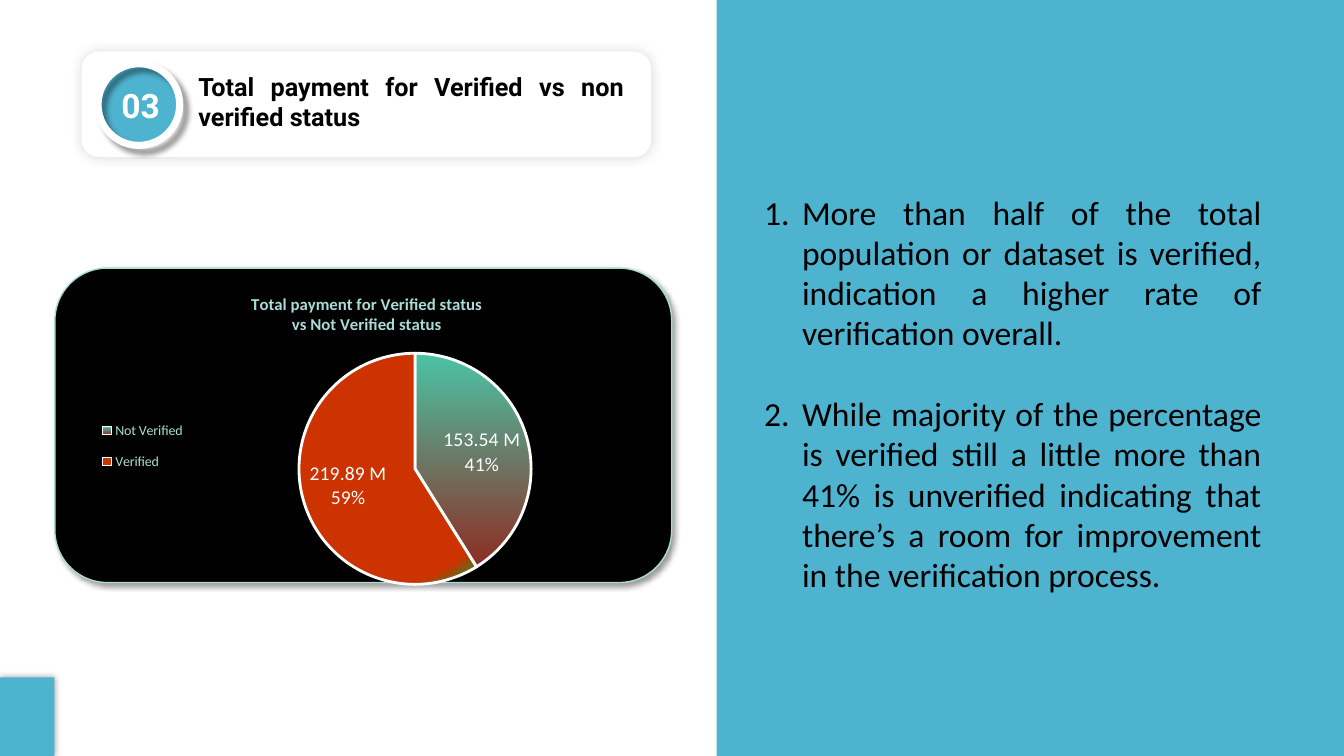
from lxml import etree
from pptx import Presentation
from pptx import oxml
from pptx.chart import data as chart_data
from pptx.dml import color
from pptx.enum import chart as charts, shapes, text
from pptx.oxml import ns
from pptx.util import Pt

COLORS = {
    "teal": "4EB3CF", "white": "FFFFFF", "black": "000000", "mint": "AADCD7",
    "maroon": "8D2D23", "green": "4AC3A6", "red": "CC3300",
    "moss": "4A7C29", "forest": "457327", "leaf": "589331",
}
FINDINGS = [
    "More than half of the total population or dataset is verified, indication a "
    "higher rate of verification overall.",
    "While majority of the percentage is verified still a little more than 41% is "
    "unverified indicating that there’s a room for improvement in the verification process.",
]


def rgb(name):
    """Look up a named colour."""
    return color.RGBColor.from_string(COLORS[name])


def apply(target, **values):
    """Set each given attribute on the target."""
    for key, value in values.items():
        setattr(target, key, value)


def style_font(font, name, size, ink, bold=False):
    """Give a font its face, size, weight and colour."""
    apply(font, name=name, size=Pt(size), bold=bold)
    font.color.rgb = rgb(ink)


def add_shadow(shape, alpha, blur, distance):
    """Cast a soft black shadow towards the lower right."""
    effects = shape._element.spPr.find(ns.qn("a:effectLst"))
    effects.append(oxml.parse_xml(
        f'<a:outerShdw {ns.nsdecls("a")} blurRad="{Pt(blur)}" dist="{Pt(distance)}" '
        f'dir="2700000" algn="ctr" rotWithShape="0"><a:srgbClr val="{COLORS["black"]}">'
        f'<a:alpha val="{alpha * 1000}"/></a:srgbClr></a:outerShdw>'))


def add_panel(slide, preset, box, fill, shadow=None, outline=None):
    """Draw a filled preset shape."""
    panel = slide.shapes.add_shape(preset, *map(Pt, box))
    panel.shadow.inherit = False
    panel.fill.solid()
    panel.fill.fore_color.rgb = rgb(fill)
    if outline:
        panel.line.color.rgb = rgb(outline)
        panel.line.width = Pt(1)
    else:
        panel.line.fill.background()
    if shadow:
        add_shadow(panel, *shadow)
    return panel


def add_words(slide, box, lines, align, font, gap=0, numbered=False):
    """Write a text box, with numbered paragraphs if asked."""
    frame = slide.shapes.add_textbox(*map(Pt, box)).text_frame
    apply(frame, word_wrap=True, auto_size=text.MSO_AUTO_SIZE.SHAPE_TO_FIT_TEXT)
    for index, line in enumerate(lines):
        paragraph = frame.paragraphs[0] if index == 0 else frame.add_paragraph()
        paragraph.alignment = align
        if index:
            paragraph.space_before = Pt(gap)
        if numbered:
            properties = paragraph._p.get_or_add_pPr()
            properties.set("marL", str(Pt(27)))
            properties.set("indent", str(-Pt(27)))
            number = etree.SubElement(properties, ns.qn("a:buAutoNum"))
            number.set("type", "arabicPeriod")
            if index:
                number.set("startAt", str(index + 1))
        run = paragraph.add_run()
        run.text = line
        style_font(run.font, *font)


def set_layout(part, inner=False, **fractions):
    """Place a chart part by fractions of the chart area."""
    for old in part.findall(ns.qn("c:layout")):
        part.remove(old)
    target = '<c:layoutTarget val="inner"/>' if inner else ""
    modes = '<c:xMode val="edge"/><c:yMode val="edge"/>'
    values = "".join(f'<c:{key} val="{value}"/>' for key, value in fractions.items())
    layout = oxml.parse_xml(
        f'<c:layout {ns.nsdecls("c")}><c:manualLayout>{target}{modes}{values}'
        '</c:manualLayout></c:layout>')
    overlay = part.find(ns.qn("c:overlay"))
    if overlay is None:
        part.insert(0, layout)
    else:
        overlay.addprevious(layout)


def set_gradient(properties, stops, direction):
    """Fill a pie slice with a gradient."""
    marks = "".join(f'<a:gs pos="{position * 1000}"><a:srgbClr val="{COLORS[name]}"/></a:gs>'
                    for position, name in stops)
    properties.insert(0, oxml.parse_xml(
        f'<a:gradFill {ns.nsdecls("a")}><a:gsLst>{marks}</a:gsLst>{direction}</a:gradFill>'))


def add_payment_pie(slide, box):
    """Chart the payments by verification status, labelled in millions."""
    payments = chart_data.CategoryChartData(number_format='0.00,," M"')
    payments.categories = ["Not Verified", "Verified"]
    payments.add_series("Series 1", [153540000, 219890000])
    pie = slide.shapes.add_chart(charts.XL_CHART_TYPE.PIE, *map(Pt, box), payments).chart
    style_font(pie.font, "Calibri", 10, "black")
    pie.has_title = True
    title = pie.chart_title.text_frame
    title.text = "Total payment for Verified status\nvs Not Verified status"
    for paragraph in title.paragraphs:
        style_font(paragraph.runs[0].font, "Calibri", 12, "mint", True)
    pie.has_legend = True
    apply(pie.legend, position=charts.XL_LEGEND_POSITION.LEFT, include_in_layout=True)
    style_font(pie.legend.font, "Calibri", 10, "mint")

    plot = pie.plots[0]
    apply(plot, vary_by_categories=True, has_data_labels=True)
    labels = plot.data_labels
    apply(labels, show_value=True, show_percentage=True, number_format_is_linked=True,
          position=charts.XL_LABEL_POSITION.BEST_FIT)
    style_font(labels.font, "Calibri", 14, "white")
    separator = etree.Element(ns.qn("c:separator"))
    separator.text = "\n"
    labels._element.find(ns.qn("c:showBubbleSize")).addnext(separator)

    for index in range(2):
        border = plot.series[0].points[index].format.line
        border.color.rgb = rgb("white")
        border.width = Pt(2)
    space = pie._chartSpace
    unverified, verified = space.xpath(".//c:dPt/c:spPr")
    set_gradient(unverified, [(0, "maroon"), (100, "green")], '<a:lin ang="16200000" scaled="0"/>')
    set_gradient(verified, [(79, "red"), (92, "moss"), (97, "forest"), (100, "leaf")],
                 '<a:path path="circle"><a:fillToRect l="50000" t="50000" r="50000" b="50000"/>'
                 '</a:path>')
    set_layout(space.xpath(".//c:plotArea")[0], inner=True, x=0.27, y=0.24, w=0.63, h=0.76)
    set_layout(space.xpath(".//c:title")[0], x=0.3, y=0.03)
    set_layout(space.xpath(".//c:legend")[0], x=0.02, y=0.42, w=0.2, h=0.25)


def main():
    """Build the slide and save it."""
    deck = Presentation()
    apply(deck, slide_width=Pt(960), slide_height=Pt(540))
    slide = deck.slides.add_slide(deck.slide_layouts[6])
    preset = shapes.MSO_SHAPE
    align = text.PP_ALIGN

    add_panel(slide, preset.ROUNDED_RECTANGLE, (58.3, 36.7, 406.8, 75.6), "white", (15, 9, 0))
    add_words(slide, (134.6, 47.5, 318.2, 51.1),
              ["Total payment for Verified vs non verified status"],
              align.JUSTIFY, ("Roboto", 18, "black", True))
    add_panel(slide, preset.OVAL, (72, 47.5, 54.7, 54.7), "teal")
    ring = add_panel(slide, preset.DONUT, (67.5, 43, 63.4, 63.4), "white", (40, 4, 6))
    ring.adjustments[0] = 0.08
    add_words(slide, (74.5, 56.9, 51.8, 36), ["03"], align.CENTER, ("Roboto", 24, "white", True))

    add_panel(slide, preset.ROUNDED_RECTANGLE, (39.2, 191.5, 440.6, 224.6), "black",
              (40, 4, 3), "mint")
    add_payment_pie(slide, (51.8, 200.2, 418.3, 218.2))

    add_panel(slide, preset.RECTANGLE, (512, 0, 448, 540), "teal")
    add_words(slide, (538.8, 133.2, 369.4, 298.1), FINDINGS, align.JUSTIFY,
              ("Calibri", 24, "black"), gap=28.8, numbered=True)
    add_panel(slide, preset.RECTANGLE, (0, 483.8, 38.9, 56.2), "teal", (40, 5, 0))
    deck.save("out.pptx")


if __name__ == "__main__":
    main()
